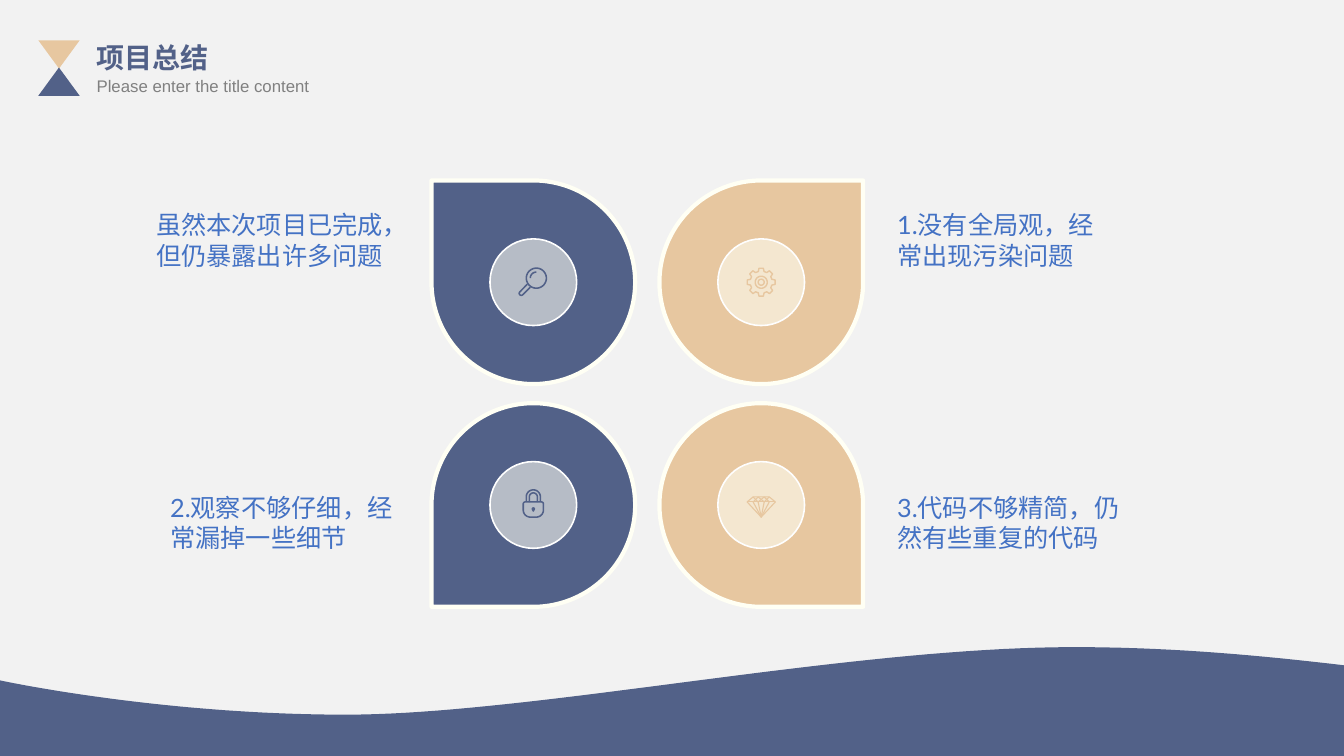
import math

import pptx
import pptx.dml.color
import pptx.enum.shapes
import pptx.enum.text
import pptx.oxml
import pptx.oxml.ns
import pptx.util
from pptx.util import Inches

THEME = {
    "background": "F2F2F2",
    "navy": "526188",
    "sand": "E7C7A0",
    "cream": "FFFFF4",
    "ring": "FEFEFE",
    "gray": "808080",
    "blue": "4472C4",
    "heading_font": "Arial",
    "body_font": "Lato",
    "title_size": 20,
    "subtitle_size": 12,
    "body_size": 18,
    "petal_line": 3,
    "ring_line": 1.13,
}

TITLE = ("项目总结", (0.86, 0.35, 1.79, 0.44))
SUBTITLE = ("Please enter the title content", (0.86, 0.7, 2.64, 0.3))
FINDINGS = [
    ("虽然本次项目已完成，但仍暴露出许多问题", (1.45, 2.03, 2.6, 0.71)),
    ("1.没有全局观，经常出现污染问题", (8.8, 2.03, 2.22, 0.71)),
    ("2.观察不够仔细，经常漏掉一些细节", (1.59, 4.83, 2.46, 0.71)),
    ("3.代码不够精简，仍然有些重复的代码", (8.8, 4.83, 2.65, 0.71)),
]
HOURGLASS = [("sand", 0.4, 180), ("navy", 0.67, 0)]
PETALS = [
    ("magnifier", "navy", 0, 0),
    ("gear", "sand", 1, 0),
    ("lock", "navy", 0, 1),
    ("diamond", "sand", 1, 1),
]
PETAL_LEFT, PETAL_TOP, PETAL_SIZE = 4.28, 1.79, 2.02
COLUMN_STEP, ROW_STEP = 2.26, 2.21
MEDALLION_SIZE = 0.86
WAVE_CURVES = [
    [(0, 6.75), (0, 6.75), (1.57, 7.09), (3.43, 7.09)],
    [(3.43, 7.09), (5.28, 7.09), (8.4, 6.42), (10.65, 6.42)],
    [(10.65, 6.42), (11.49, 6.42), (12.32, 6.48), (13.33, 6.6)],
]

SHAPES = pptx.enum.shapes.MSO_SHAPE
ALIGN = pptx.enum.text.PP_ALIGN


def color(name):
    return pptx.dml.color.RGBColor.from_string(THEME[name])


def arc(center_x, center_y, radius, start=0, end=360, steps=24):
    angles = [math.radians(start + (end - start) * step / steps) for step in range(steps + 1)]
    return [(center_x + radius * math.cos(a), center_y + radius * math.sin(a)) for a in angles]


def bezier(controls, steps=40):
    points = []
    for step in range(steps + 1):
        t = step / steps
        weights = [(1 - t) ** 3, 3 * t * (1 - t) ** 2, 3 * t * t * (1 - t), t ** 3]
        points.append(tuple(sum(w * c[axis] for w, c in zip(weights, controls)) for axis in (0, 1)))
    return points


def magnifier():
    handle = [(-0.06, 0.02)] + arc(-0.12, 0.11, 0.02, 225, 45) + [(-0.03, 0.05)]
    return 1.1, [(arc(0.03, -0.04, 0.1), True), (handle, False),
                 (arc(0.03, -0.04, 0.06, 180, 270), False)]


def gear():
    rim = []
    for tooth in range(8):
        for offset, radius in ((-15, 0.11), (-9, 0.14), (9, 0.14), (15, 0.11)):
            rim += arc(0, 0, radius, tooth * 45 + offset, tooth * 45 + offset, 1)[:1]
    return 1, [(rim, True), (arc(0, 0, 0.06), True), (arc(0, 0, 0.03), True)]


def lock():
    body = (arc(-0.08, -0.01, 0.02, 180, 270) + arc(0.08, -0.01, 0.02, 270, 360)
            + arc(0.03, 0.05, 0.07, 0, 90) + arc(-0.03, 0.05, 0.07, 90, 180))
    shackles = [([(-r, -0.03)] + arc(0, -0.08, r, 180, 360) + [(r, -0.03)], False)
                for r in (0.07, 0.04)]
    keyhole = arc(0, 0.04, 0.01, 180, 360) + [(0, 0.06)]
    return 1.1, [(body, True), (keyhole, True)] + shackles


def diamond():
    top, girdle, tip = -0.08, -0.03, (0, 0.12)
    outline = [(-0.08, top), (0.08, top), (0.14, girdle), tip, (-0.14, girdle)]
    strokes = [(outline, True), ([(-0.14, girdle), (0.14, girdle)], False)]
    for side in (-1, 1):
        zigzag = [(side * x, y) for x, y in
                  ((-0.08, girdle), (-0.03, top), (0.03, girdle), (0.08, top))]
        strokes.append((zigzag, False))
    strokes += [([(-x, girdle), tip, (x, girdle)], False) for x in (0.03, 0.08)]
    return 0.8, strokes


ICONS = {"magnifier": magnifier, "gear": gear, "lock": lock, "diamond": diamond}


def style(shape, fill=None, line=None, width=1, opacity=None):
    shape.shadow.inherit = False
    if fill:
        shape.fill.solid()
        shape.fill.fore_color.rgb = color(fill)
    else:
        shape.fill.background()
    if line:
        shape.line.color.rgb = color(line)
        shape.line.width = pptx.util.Pt(width)
    else:
        shape.line.fill.background()
    if opacity:
        fill_color = shape.element.spPr.find(".//" + pptx.oxml.ns.qn("a:srgbClr"))
        alpha = pptx.oxml.parse_xml(f'<a:alpha {pptx.oxml.ns.nsdecls("a")} val="{opacity * 1000}"/>')
        fill_color.append(alpha)


def add_preset(slide, kind, box, **look):
    shape = slide.shapes.add_shape(kind, *map(Inches, box))
    style(shape, **look)
    return shape


def add_outline(slide, points, closed=True, **look):
    scaled = [(Inches(x), Inches(y)) for x, y in points]
    builder = slide.shapes.build_freeform(*scaled[0], scale=1.0)
    builder.add_line_segments(scaled[1:], close=closed)
    style(builder.convert_to_shape(), **look)


def add_text(slide, text, box, size, font, ink, bold=False, align=ALIGN.LEFT):
    frame = slide.shapes.add_textbox(*map(Inches, box)).text_frame
    frame.word_wrap = True
    frame.auto_size = pptx.enum.text.MSO_AUTO_SIZE.SHAPE_TO_FIT_TEXT
    paragraph = frame.paragraphs[0]
    paragraph.alignment = align
    run = paragraph.add_run()
    run.text = text
    run.font.name = THEME[font]
    run.font.size = pptx.util.Pt(THEME[size])
    run.font.bold = bold
    run.font.color.rgb = color(ink)


def add_petal(slide, icon, fill, column, row):
    left = PETAL_LEFT + column * COLUMN_STEP
    top = PETAL_TOP + row * ROW_STEP
    petal = add_preset(slide, SHAPES.TEAR, (left, top, PETAL_SIZE, PETAL_SIZE),
                       fill=fill, line="cream", width=THEME["petal_line"])
    transform = petal.element.spPr.find(pptx.oxml.ns.qn("a:xfrm"))
    if column == 0:
        transform.set("flipH", "1")
    if row == 1:
        transform.set("flipV", "1")
    inset = (PETAL_SIZE - MEDALLION_SIZE) / 2
    add_preset(slide, SHAPES.OVAL, (left + inset, top + inset, MEDALLION_SIZE, MEDALLION_SIZE),
               fill="cream", line="ring", width=THEME["ring_line"], opacity=58)
    center_x, center_y = left + PETAL_SIZE / 2, top + PETAL_SIZE / 2
    width, strokes = ICONS[icon]()
    for points, closed in strokes:
        placed = [(center_x + x, center_y + y) for x, y in points]
        add_outline(slide, placed, closed, line=fill, width=width)


def main():
    presentation = pptx.Presentation()
    presentation.slide_width = Inches(13.33)
    presentation.slide_height = Inches(7.5)
    slide = presentation.slides.add_slide(presentation.slide_layouts[6])
    slide.background.fill.solid()
    slide.background.fill.fore_color.rgb = color("background")

    wave = [point for controls in WAVE_CURVES for point in bezier(controls)]
    add_outline(slide, wave + [(13.33, 7.5), (0, 7.5)], fill="navy")
    for fill, top, rotation in HOURGLASS:
        triangle = add_preset(slide, SHAPES.ISOSCELES_TRIANGLE, (0.38, top, 0.41, 0.28), fill=fill)
        triangle.rotation = rotation
    add_text(slide, *TITLE, size="title_size", font="heading_font", ink="navy",
             bold=True, align=ALIGN.JUSTIFY)
    add_text(slide, *SUBTITLE, size="subtitle_size", font="heading_font", ink="gray",
             align=ALIGN.JUSTIFY)
    for petal in PETALS:
        add_petal(slide, *petal)
    for text, box in FINDINGS:
        add_text(slide, text, box, size="body_size", font="body_font", ink="blue")
    presentation.save("out.pptx")


if __name__ == "__main__":
    main()
